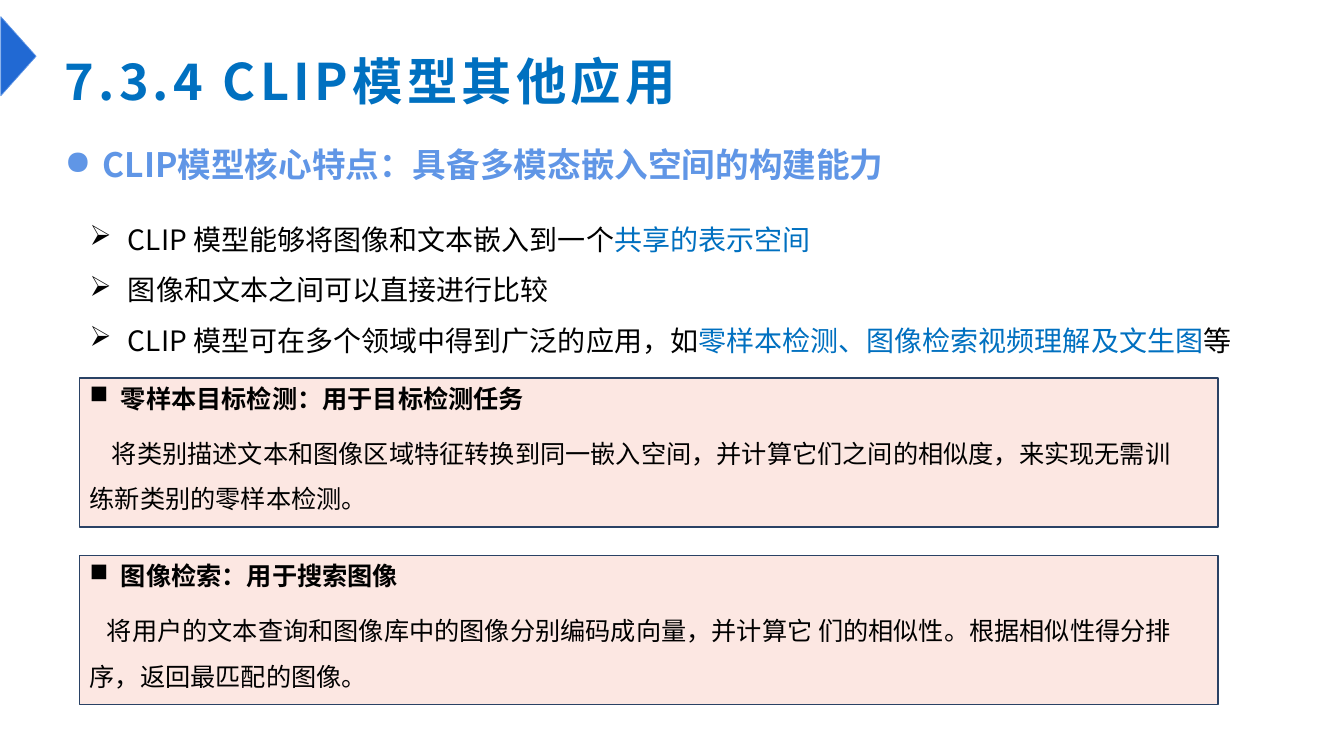
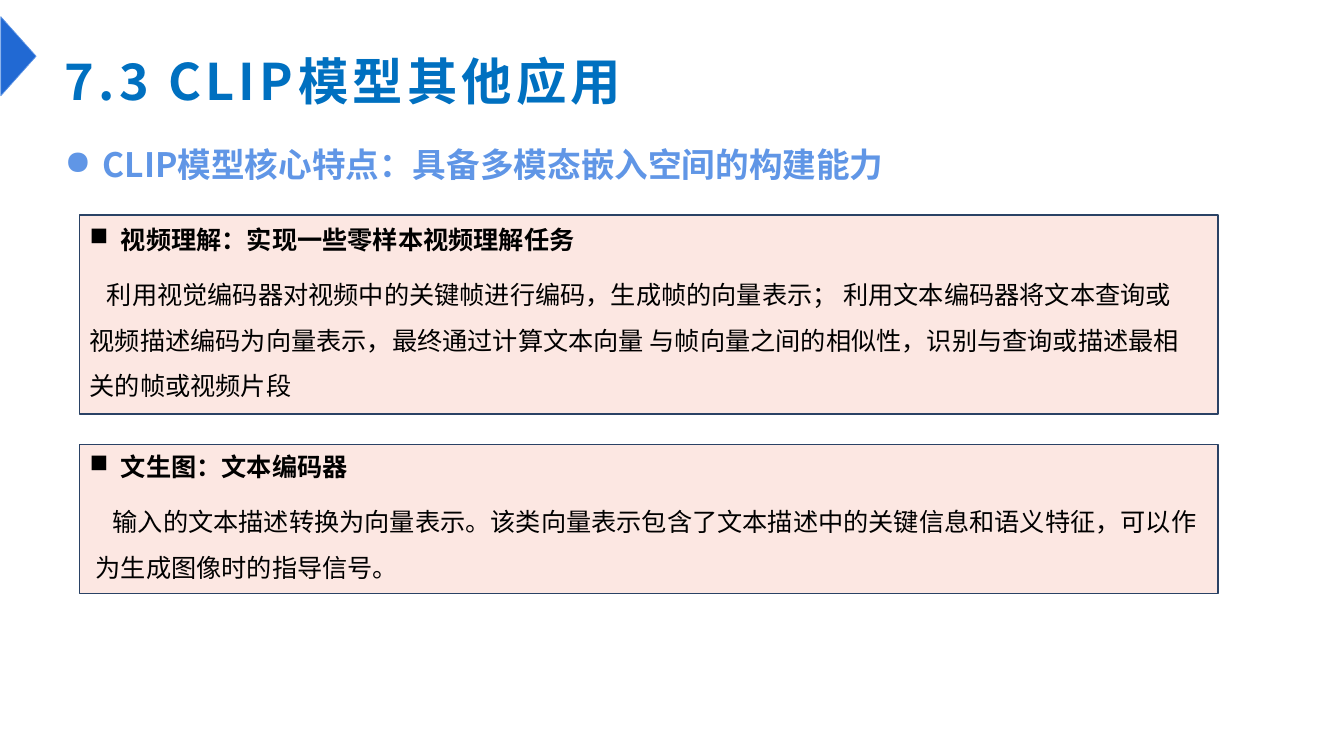
from lxml import etree
from pptx import Presentation
from pptx.dml.color import RGBColor
from pptx.enum.shapes import MSO_SHAPE
from pptx.enum.text import MSO_ANCHOR
from pptx.oxml.ns import qn
from pptx.util import Inches, Pt

RECTANGLE = MSO_SHAPE.RECTANGLE
TRIANGLE = MSO_SHAPE.ISOSCELES_TRIANGLE
TOP, MIDDLE = MSO_ANCHOR.TOP, MSO_ANCHOR.MIDDLE

# Shared style
FONT = "Noto Sans CJK SC"
BLACK, TITLE_BLUE, TOPIC_BLUE = "000000", "0070C0", "6096E6"
MARKER_BLUE, CARD_FILL, CARD_LINE = "2169D3", "FCE7E2", "2A4265"
TOPIC = "CLIP模型核心特点：具备多模态嵌入空间的构建能力"

# Grid of 160 columns by 90 rows
WIDTH, HEIGHT = Inches(13.333), Inches(7.5)
COLUMN, ROW = WIDTH / 160, HEIGHT / 90
CARD_LEFT, CARD_WIDTH, CARD_HEIGHT = 9.5, 135.5, 17.75


def rgb(value):
    return RGBColor.from_string(value)


def grid(left, top, width, height):
    return [round(n * unit) for n, unit in
            zip((left, top, width, height), (COLUMN, ROW, COLUMN, ROW))]


def add_text(para, text, size=18, color=BLACK, bold=False, tracking=0):
    span = para.add_run()
    span.text = text
    font = span.font
    font.name, font.size, font.bold = FONT, Pt(size), bold
    font.color.rgb = rgb(color)
    properties = span._r.get_or_add_rPr()
    etree.SubElement(properties, qn("a:ea")).set("typeface", FONT)
    if tracking:
        properties.set("spc", str(tracking * 100))


class Lesson:
    def __init__(self):
        self.deck = Presentation()
        self.deck.slide_width, self.deck.slide_height = WIDTH, HEIGHT
        self.page = None

    def start_page(self, title):
        self.page = self.deck.slides.add_slide(self.deck.slide_layouts[6])
        marker = self.shape(TRIANGLE, (-2.5, 4.6, 9.4, 4.2),
                            MARKER_BLUE, TOPIC_BLUE, 0.5)
        marker.rotation = 90
        self.text((7.7, 6.1, 87.6, 6.7), [title], insets=(0, 0.02, 0, 0),
                  anchor=MIDDLE, size=36, color=TITLE_BLUE, bold=True, tracking=3)
        self.text((6.5, 14.2, 144, 7.7), [TOPIC], bullet="●", indent=0.38,
                  spacing=1.5, size=24, color=TOPIC_BLUE, bold=True)

    def shape(self, kind, place, fill, line, weight):
        shape = self.page.shapes.add_shape(kind, *grid(*place))
        shape.shadow.inherit = False
        shape.fill.solid()
        shape.fill.fore_color.rgb = rgb(fill)
        shape.line.color.rgb = rgb(line)
        shape.line.width = Pt(weight)
        return shape

    def text(self, place, lines, bullet=None, indent=0, spacing=1,
             insets=(0.1, 0.05, 0.1, 0.05), anchor=TOP, **style):
        """Each line is a string or a list of (text, colour) pairs."""
        frame = self.page.shapes.add_textbox(*grid(*place)).text_frame
        frame.word_wrap = True
        frame.vertical_anchor = anchor
        (frame.margin_left, frame.margin_top,
         frame.margin_right, frame.margin_bottom) = map(Inches, insets)
        for index, line in enumerate(lines):
            para = frame.add_paragraph() if index else frame.paragraphs[0]
            para.line_spacing = spacing
            properties = para._p.get_or_add_pPr()
            if bullet:
                properties.set("marL", str(Inches(indent)))
                properties.set("indent", str(-Inches(indent)))
                etree.SubElement(properties, qn("a:buChar")).set("char", bullet)
            elif indent:
                properties.set("indent", str(Inches(indent)))
            if isinstance(line, str):
                add_text(para, line, **style)
            else:
                for part, color in line:
                    add_text(para, part, color=color, **style)

    def points(self, lines):
        self.text((CARD_LEFT, 23.9, 139.8, 18.7), lines, bullet="➢",
                  indent=0.38, spacing=1.5, size=20)

    def card(self, top, heading, body, height=CARD_HEIGHT, drop=0,
             shift=0, indent=0.17):
        """Drop lowers the text in its card; shift moves the body right."""
        self.shape(RECTANGLE, (CARD_LEFT, top, CARD_WIDTH, height),
                   CARD_FILL, CARD_LINE, 1)
        self.text((CARD_LEFT, top + drop, 80, 4.8), [heading],
                  bullet="■", indent=0.31, bold=True)
        self.text((CARD_LEFT + shift, top + drop + 4.8, 134, height - 6.2),
                  [body], indent=indent, spacing=1.5)


def main():
    lesson = Lesson()

    # Shared space, detection and retrieval
    lesson.start_page("7.3.4 CLIP模型其他应用")
    lesson.points([
        [("CLIP 模型能够将图像和文本嵌入到一个", BLACK),
         ("共享的表示空间", TITLE_BLUE)],
        "图像和文本之间可以直接进行比较",
        [("CLIP 模型可在多个领域中得到广泛的应用，如", BLACK),
         ("零样本检测、图像检索视频理解及文生图", TITLE_BLUE),
         ("等", BLACK)],
    ])
    lesson.card(45, "零样本目标检测：用于目标检测任务",
                "将类别描述文本和图像区域特征转换到同一嵌入空间，并计算它们之间的"
                "相似度，来实现无需训练新类别的零样本检测。", indent=0.22)
    lesson.card(66.1, "图像检索：用于搜索图像",
                "将用户的文本查询和图像库中的图像分别编码成向量，并计算它 们的"
                "相似性。根据相似性得分排序，返回最匹配的图像。")

    # Video understanding and image generation
    lesson.start_page("7.3 CLIP模型其他应用")
    lesson.card(25.6, "视频理解：实现一些零样本视频理解任务",
                "利用视觉编码器对视频中的关键帧进行编码，生成帧的向量表示； "
                "利用文本编码器将文本查询或视频描述编码为向量表示，最终通过计算"
                "文本向量 与帧向量之间的相似性，识别与查询或描述最相关的帧或视频片段",
                height=23.7, drop=0.5)
    lesson.card(52.9, "文生图：文本编码器",
                "输入的文本描述转换为向量表示。该类向量表示包含了文本描述中的"
                "关键信息和语义特征，可以作为生成图像时的指导信号。",
                drop=0.2, shift=0.7)

    lesson.deck.save("out.pptx")


if __name__ == "__main__":
    main()
